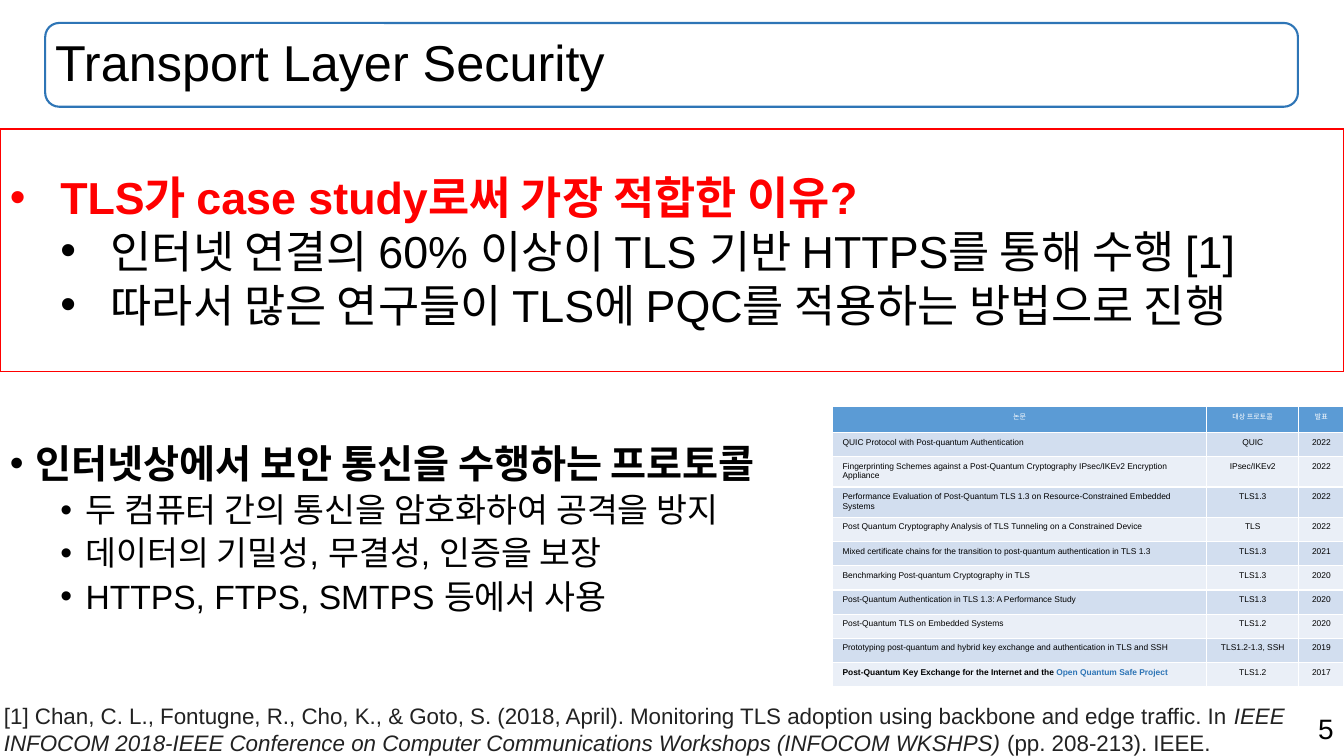
from lxml import etree
from pptx import Presentation
from pptx import util as u
from pptx.dml.color import RGBColor
from pptx.enum import shapes, text
from pptx.oxml.ns import qn

COLORS = {"black": "000000", "white": "FFFFFF", "red": "FF0000", "blue": "2E75B6",
          "cite": "222222", "head": "5B9BD5", "odd": "D2DEEF", "even": "EAEFF7"}
LEFT, CENTER, RIGHT = text.PP_ALIGN.LEFT, text.PP_ALIGN.CENTER, text.PP_ALIGN.RIGHT
MIDDLE = text.MSO_ANCHOR.MIDDLE

PAPERS = [
    ("QUIC Protocol with Post-quantum Authentication", "QUIC", "2022"),
    ("Fingerprinting Schemes against a Post-Quantum Cryptography IPsec/IKEv2 Encryption Appliance",
     "IPsec/IKEv2", "2022"),
    ("Performance Evaluation of Post-Quantum TLS 1.3 on Resource-Constrained Embedded Systems",
     "TLS1.3", "2022"),
    ("Post Quantum Cryptography Analysis of TLS Tunneling on a Constrained Device", "TLS", "2022"),
    ("Mixed certificate chains for the transition to post-quantum authentication in TLS 1.3",
     "TLS1.3", "2021"),
    ("Benchmarking Post-quantum Cryptography in TLS", "TLS1.3", "2020"),
    ("Post-Quantum Authentication in TLS 1.3: A Performance Study", "TLS1.3", "2020"),
    ("Post-Quantum TLS on Embedded Systems", "TLS1.2", "2020"),
    ("Prototyping post-quantum and hybrid key exchange and authentication in TLS and SSH",
     "TLS1.2-1.3, SSH", "2019"),
    ([("Post-Quantum Key Exchange for the Internet and the ", {"bold": True}),
      ("Open Quantum Safe Project", {"bold": True, "color": "blue"})], "TLS1.2", "2017"),
]


class Deck:
    def __init__(self, prs, font="Arial"):
        self.s = prs.slides.add_slide(prs.slide_layouts[6])
        self.font = font

    def rgb(self, name):
        return RGBColor.from_string(COLORS[name])

    def run(self, p, words, size, color="black", bold=False, italic=False):
        r = p.add_run()
        r.text = words
        r.font.name, r.font.size = self.font, u.Pt(size)
        r.font.bold, r.font.italic = bold, italic
        r.font.color.rgb = self.rgb(color)

    def box(self, x, y, w, h, anchor=text.MSO_ANCHOR.TOP):
        tf = self.s.shapes.add_textbox(*map(u.Cm, (x, y, w, h))).text_frame
        tf.word_wrap = True
        tf.vertical_anchor = anchor
        return tf

    def frame(self, kind, x, y, w, h, line, width, opacity=None):
        """Outlined shape; white fill only when an opacity is given."""
        sp = self.s.shapes.add_shape(kind, *map(u.Cm, (x, y, w, h)))
        sp.shadow.inherit = False
        sp.line.color.rgb = self.rgb(line)
        sp.line.width = u.Pt(width)
        if opacity is None:
            sp.fill.background()
        else:
            sp.fill.solid()
            sp.fill.fore_color.rgb = self.rgb("white")
            clr = sp.fill._xPr.find(f".//{qn('a:srgbClr')}")
            etree.SubElement(clr, qn("a:alpha"), val=str(opacity * 1000))
        sp.text_frame.vertical_anchor = MIDDLE
        return sp.text_frame

    def bullets(self, tf, items, hang, step, spacing=1.0, before=0):
        """items: (level, words, run style); hang and step are in cm."""
        for i, (level, words, style) in enumerate(items):
            p = tf.add_paragraph() if i else tf.paragraphs[0]
            p.alignment, p.level, p.line_spacing = LEFT, level, spacing
            if i:
                p.space_before = u.Pt(before)
            pPr = p._p.get_or_add_pPr()
            pPr.set("marL", str(u.Cm(hang + level * step)))
            pPr.set("indent", str(-u.Cm(hang)))
            etree.SubElement(pPr, qn("a:buFont"), typeface=self.font)
            etree.SubElement(pPr, qn("a:buChar"), char="•")
            self.run(p, words, **style)

    def cell(self, cell, content, fill, align, **style):
        cell.fill.solid()
        cell.fill.fore_color.rgb = self.rgb(fill)
        p = cell.text_frame.paragraphs[0]
        p.alignment = align
        runs = [(content, {})] if isinstance(content, str) else content
        for words, extra in runs:
            self.run(p, words, **style, **extra)

    def table(self, x, y, widths, head_height, row_height, header, rows):
        height = head_height + row_height * len(rows)
        tbl = self.s.shapes.add_table(len(rows) + 1, len(widths), u.Cm(x), u.Cm(y),
                                      u.Cm(sum(widths)), u.Cm(height)).table
        for col, width in zip(tbl.columns, widths):
            col.width = u.Cm(width)
        for i, row in enumerate([header] + rows):
            tbl.rows[i].height = u.Cm(row_height if i else head_height)
            for j, content in enumerate(row):
                if i == 0:
                    self.cell(tbl.cell(i, j), content, "head", CENTER, size=5, color="white")
                else:
                    self.cell(tbl.cell(i, j), content, "odd" if i % 2 else "even",
                              CENTER if j else LEFT, size=6)


def main():
    prs = Presentation()
    prs.slide_width, prs.slide_height = u.Cm(33.87), u.Cm(19.05)
    deck = Deck(prs)

    title_area = (1.14, 0.58, 31.57, 2.11)
    deck.frame(shapes.MSO_SHAPE.ROUNDED_RECTANGLE, *title_area, "blue", 1.5)
    p = deck.box(23.95, 17.81, 9.91, 1.11).paragraphs[0]
    p.alignment = RIGHT
    deck.run(p, "5", 20)
    p = deck.box(*title_area, MIDDLE).paragraphs[0]
    p.line_spacing = 0.9
    deck.run(p, "Transport Layer Security", 36)

    detail = {"size": 24}
    deck.bullets(deck.box(0, 11.07, 31.57, 5.31), [
        (0, "인터넷상에서 보안 통신을 수행하는 프로토콜", {"size": 28, "bold": True}),
        (1, "두 컴퓨터 간의 통신을 암호화하여 공격을 방지", detail),
        (1, "데이터의 기밀성, 무결성, 인증을 보장", detail),
        (1, "HTTPS, FTPS, SMTPS 등에서 사용", detail),
    ], hang=0.64, step=1.27, spacing=0.9, before=5)

    reason = {"size": 32}
    reasons = deck.frame(shapes.MSO_SHAPE.RECTANGLE, 0, 3.25, 33.87, 6.12, "red", 1, opacity=80)
    deck.bullets(reasons, [
        (0, "TLS가 case study로써 가장 적합한 이유?", {"size": 32, "color": "red", "bold": True}),
        (1, "인터넷 연결의 60% 이상이 TLS 기반 HTTPS를 통해 수행 [1]", reason),
        (1, "따라서 많은 연구들이 TLS에 PQC를 적용하는 방법으로 진행", reason),
    ], hang=1.27, step=1.27)

    deck.table(20.98, 10.24, [9.43, 2.32, 1.14], 0.66, 0.61,
               ("논문", "대상 프로토콜", "발표"), PAPERS)

    p = deck.box(-0.15, 17.58, 34.24, 1.62).paragraphs[0]
    for words, italic in [
        ("[1] Chan, C. L., Fontugne, R., Cho, K., & Goto, S. (2018, April). Monitoring TLS "
         "adoption using backbone and edge traffic. In ", False),
        ("IEEE INFOCOM 2018-IEEE Conference on Computer Communications Workshops "
         "(INFOCOM WKSHPS)", True),
        (" (pp. 208-213). IEEE.", False),
    ]:
        deck.run(p, words, 16, "cite", italic=italic)

    prs.save("out.pptx")


if __name__ == "__main__":
    main()
